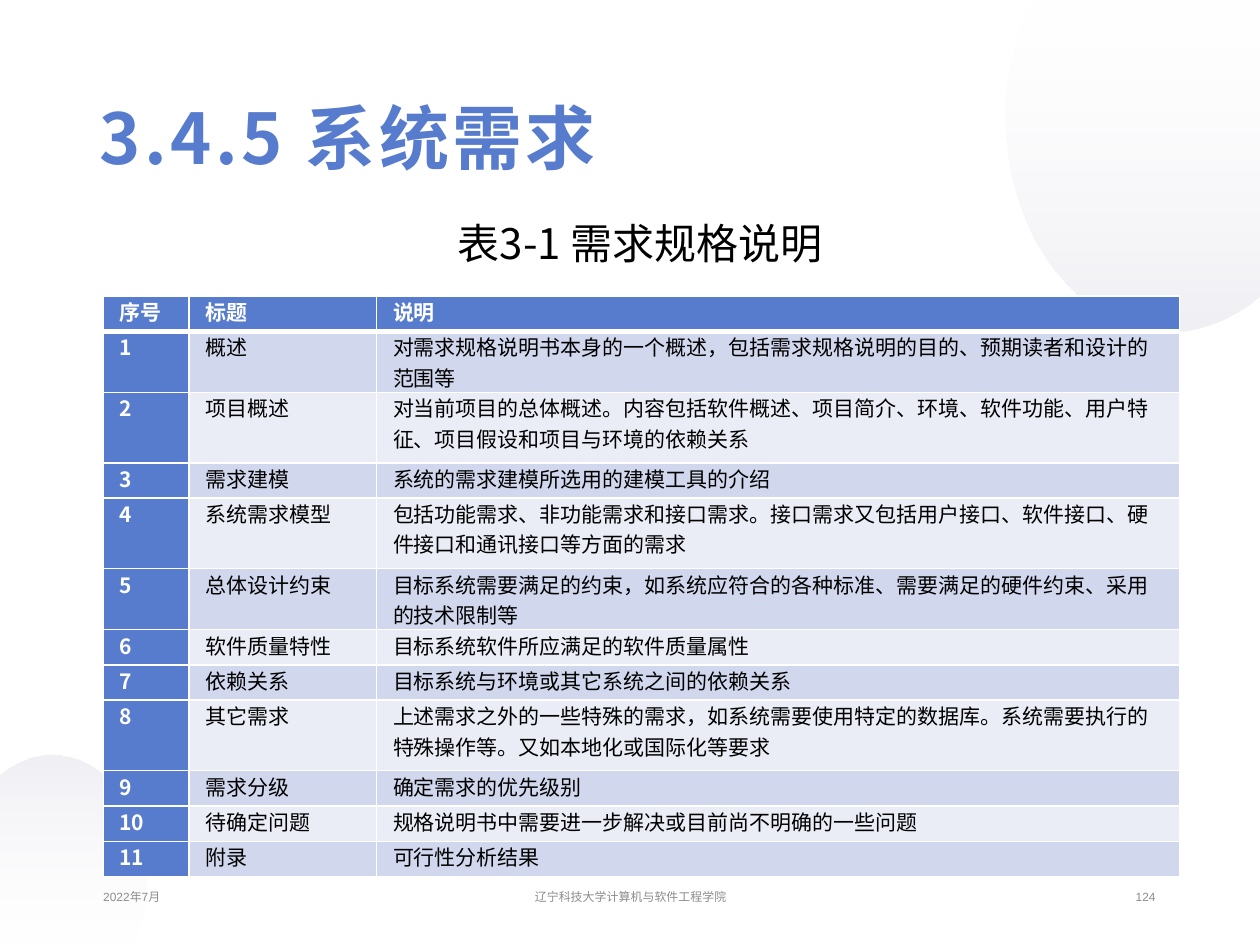
from lxml.etree import SubElement as Sub
from pptx import Presentation
from pptx.dml.color import RGBColor
from pptx.enum.text import MSO_ANCHOR as Anchor, MSO_AUTO_SIZE as Fit, PP_ALIGN as Align
from pptx.oxml.ns import qn
from pptx.util import Inches, Pt

WIDE, HIGH = 10, 7.5
NOTO = "Noto Sans CJK SC"
BLUE, WHITE, BLACK, GRAY = "577CCE", "FFFFFF", "000000", "8C8C8C"
BANDS = "D1D7ED", "EAECF6"
COLS = 0.68, 1.49, 6.37
LOW, MID, TALL = 0.28, 0.45, 0.56  # row heights

# Outlines: a step is one point, or two handles and an end point
LARGE = [
    [(8.19, 0)], [(WIDE, 0)], [(WIDE, 2.34)], [(9.9, 2.42)],
    [(9.71, 2.55), (9.5, 2.63), (9.28, 2.63)],
    [(8.56, 2.63), (7.98, 1.87), (7.98, 0.92)],
    [(7.98, 0.63), (8.04, 0.35), (8.14, 0.11)],
]
SMALL = [
    [(1.04, HIGH)], [(0, HIGH)], [(0, 6.16)], [(0.06, 6.11)],
    [(0.16, 6.04), (0.29, 5.99), (0.41, 5.99)],
    [(0.83, 5.99), (1.16, 6.43), (1.16, 6.97)],
    [(1.16, 7.14), (1.13, 7.3), (1.07, 7.44)],
]

HEAD = "序号", "标题", "说明"
ITEMS = [
    (MID, "概述", "对需求规格说明书本身的一个概述，包括需求规格说明的目的、预期读者和设计的范围等"),
    (TALL, "项目概述", "对当前项目的总体概述。内容包括软件概述、项目简介、环境、软件功能、用户特征、项目假设和项目与环境的依赖关系"),
    (LOW, "需求建模", "系统的需求建模所选用的建模工具的介绍"),
    (TALL, "系统需求模型", "包括功能需求、非功能需求和接口需求。接口需求又包括用户接口、软件接口、硬件接口和通讯接口等方面的需求"),
    (MID, "总体设计约束", "目标系统需要满足的约束，如系统应符合的各种标准、需要满足的硬件约束、采用的技术限制等"),
    (LOW, "软件质量特性", "目标系统软件所应满足的软件质量属性"),
    (LOW, "依赖关系", "目标系统与环境或其它系统之间的依赖关系"),
    (TALL, "其它需求", "上述需求之外的一些特殊的需求，如系统需要使用特定的数据库。系统需要执行的特殊操作等。又如本地化或国际化等要求"),
    (LOW, "需求分级", "确定需求的优先级别"),
    (LOW, "待确定问题", "规格说明书中需要进一步解决或目前尚不明确的一些问题"),
    (LOW, "附录", "可行性分析结果"),
]


def rgb(code):
    return RGBColor.from_string(code)


def style(para, size, color, bold=False, name=NOTO, align=Align.LEFT):
    """Format a paragraph, with one face for Latin and Chinese text."""
    para.alignment = align
    font = para.font
    font.size, font.bold, font.name = Pt(size), bold, name
    font.color.rgb = rgb(color)
    props = para._p.pPr.find(qn("a:defRPr"))
    Sub(props, qn("a:ea")).set("typeface", name)


def bend(disc, steps):
    """Turn the straight lines of steps with handles into curves."""
    lines = list(disc._element.iter(qn("a:lnTo")))
    for line, step in zip(lines, steps[1:]):
        if len(step) == 3:
            curve = line.makeelement(qn("a:cubicBezTo"), {})
            for x, y in step:
                dot = Sub(curve, qn("a:pt"))
                dot.set("x", str(Inches(x) - disc.left))
                dot.set("y", str(Inches(y) - disc.top))
            line.getparent().replace(line, curve)


def add_disc(slide, steps, angle):
    """Draw a faint ellipse, cut off at the slide's edges."""
    dots = [tuple(map(Inches, step[-1])) for step in steps]
    pen = slide.shapes.build_freeform(*dots[0])
    pen.add_line_segments(dots[1:])
    disc = pen.convert_to_shape()
    bend(disc, steps)
    disc.shadow.inherit = False
    disc.line.fill.background()
    disc.fill.gradient()
    disc.fill.gradient_angle = angle
    for stop, color in zip(disc.fill.gradient_stops, (WHITE, "BEBED2")):
        stop.color.rgb = rgb(color)
    # Opacity of the two stops
    tints = disc._element.iter(qn("a:srgbClr"))
    for tint, share in zip(tints, (10, 24)):
        Sub(tint, qn("a:alpha")).set("val", str(share * 1000))
    slide.shapes._spTree.insert(2, disc._element)


def add_title(slide, text):
    title = slide.shapes.title
    title.left, title.top = Inches(0.69), Inches(0.4)
    title.width, title.height = Inches(8.62), Inches(1.45)
    frame = title.text_frame
    frame.text = text
    frame.auto_size = Fit.NONE
    frame.vertical_anchor = Anchor.MIDDLE
    para = frame.paragraphs[0]
    para.line_spacing = 0.9
    style(para, 40, BLUE, True)
    para.runs[0].font._element.set("spc", "200")


def add_label(slide, text, box, size, color, name, align):
    label = slide.shapes.add_textbox(*map(Inches, box))
    frame = label.text_frame
    frame.word_wrap = True
    frame.vertical_anchor = Anchor.MIDDLE
    frame.text = text
    style(frame.paragraphs[0], size, color, name=name, align=align)


def set_edges(cell, top, base):
    """Put white borders on a cell, with the given top and base widths."""
    props = cell._tc.get_or_add_tcPr()
    for i, (side, width) in enumerate(zip("LRTB", (1, 1, top, base))):
        edge = props.makeelement(qn("a:ln" + side), {"w": str(Pt(width))})
        fill = Sub(edge, qn("a:solidFill"))
        Sub(fill, qn("a:srgbClr")).set("val", WHITE)
        props.insert(i, edge)


def fill_cell(cell, text, back, color, bold):
    cell.margin_left, cell.margin_right = Inches(0.07), Inches(0.13)
    cell.margin_top = cell.margin_bottom = 0
    cell.text = text
    para = cell.text_frame.paragraphs[0]
    style(para, 12, color, bold)
    para._p.pPr.set("marL", str(Inches(0.06)))
    para._p.pPr.set("indent", "0")
    cell.fill.solid()
    cell.fill.fore_color.rgb = rgb(back)


def add_grid(slide):
    rows = [HEAD] + [(str(i), *item[1:]) for i, item in enumerate(ITEMS, 1)]
    tall = [LOW] + [item[0] for item in ITEMS]
    box = 0.82, 2.35, sum(COLS), sum(tall)
    grid = slide.shapes.add_table(len(rows), len(COLS), *map(Inches, box)).table
    grid.first_col = True
    for col, width in zip(grid.columns, COLS):
        col.width = Inches(width)
    for r, row in enumerate(rows):
        grid.rows[r].height = Inches(tall[r])
        for c, text in enumerate(row):
            cell = grid.cell(r, c)
            key = r == 0 or c == 0
            back = BLUE if key else BANDS[(r - 1) % 2]
            fill_cell(cell, text, back, WHITE if key else BLACK, key)
            # A thick rule parts the header from the body
            set_edges(cell, 3 if r == 1 else 1, 3 if r == 0 else 1)


def main():
    deck = Presentation()
    deck.slide_width, deck.slide_height = Inches(WIDE), Inches(HIGH)
    slide = deck.slides.add_slide(deck.slide_layouts[5])

    # Backdrop
    add_disc(slide, SMALL, 90)
    add_disc(slide, LARGE, 270)

    # Title, table and caption
    add_title(slide, "3.4.5 系统需求")
    add_grid(slide)
    add_label(slide, "表3-1 需求规格说明", (2.75, 1.68, 4.66, 0.5),
              24, BLACK, NOTO, Align.CENTER)

    # Footer
    for text, left, width, align in (
        ("2022年7月", 0.72, 2.21, Align.LEFT),
        ("124", 7.06, 2.21, Align.RIGHT),
        ("辽宁科技大学计算机与软件工程学院", 3.38, 3.25, Align.CENTER),
    ):
        add_label(slide, text, (left, 6.99, width, 0.26), 6.8, GRAY, "Arial", align)

    deck.save("out.pptx")


if __name__ == "__main__":
    main()
